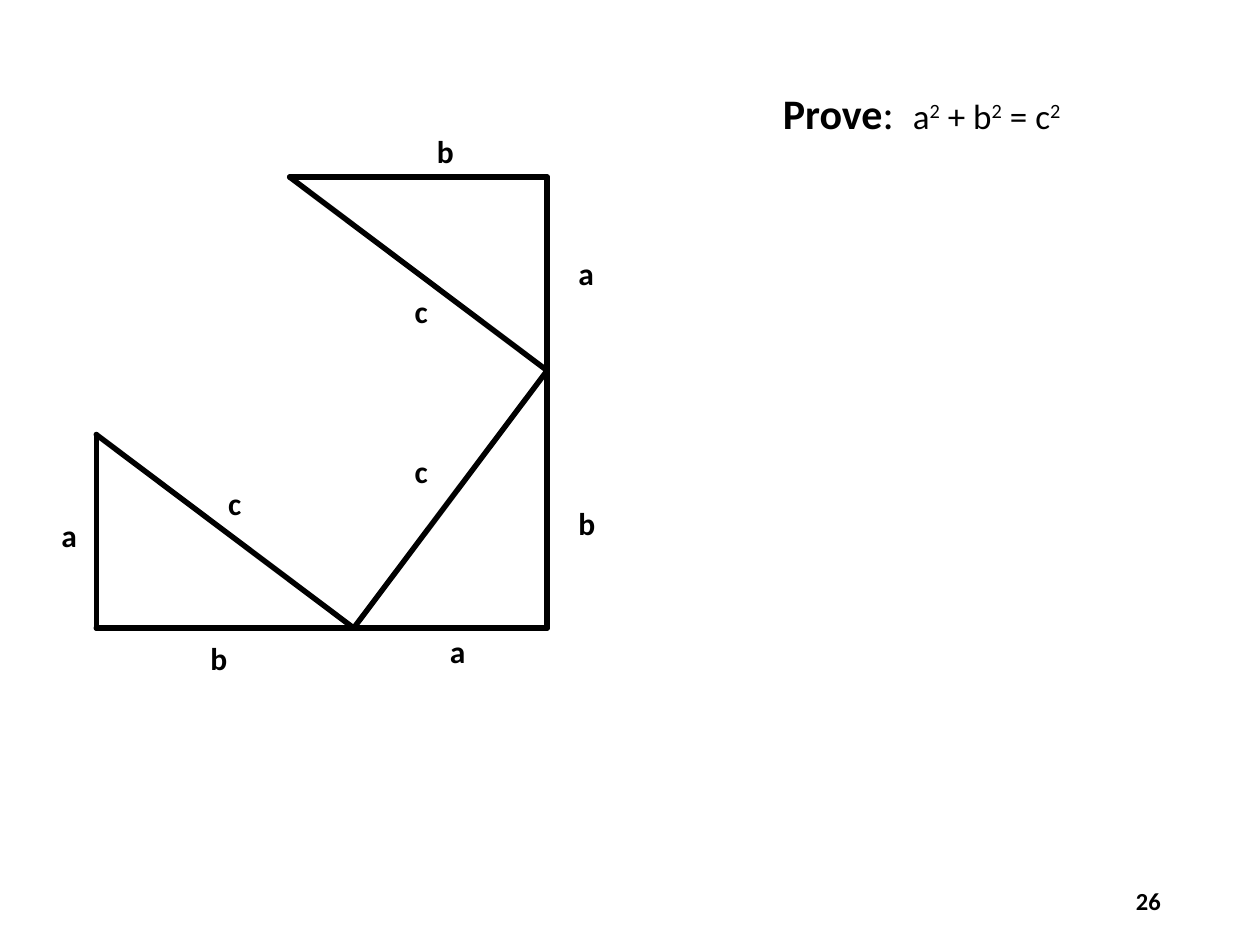
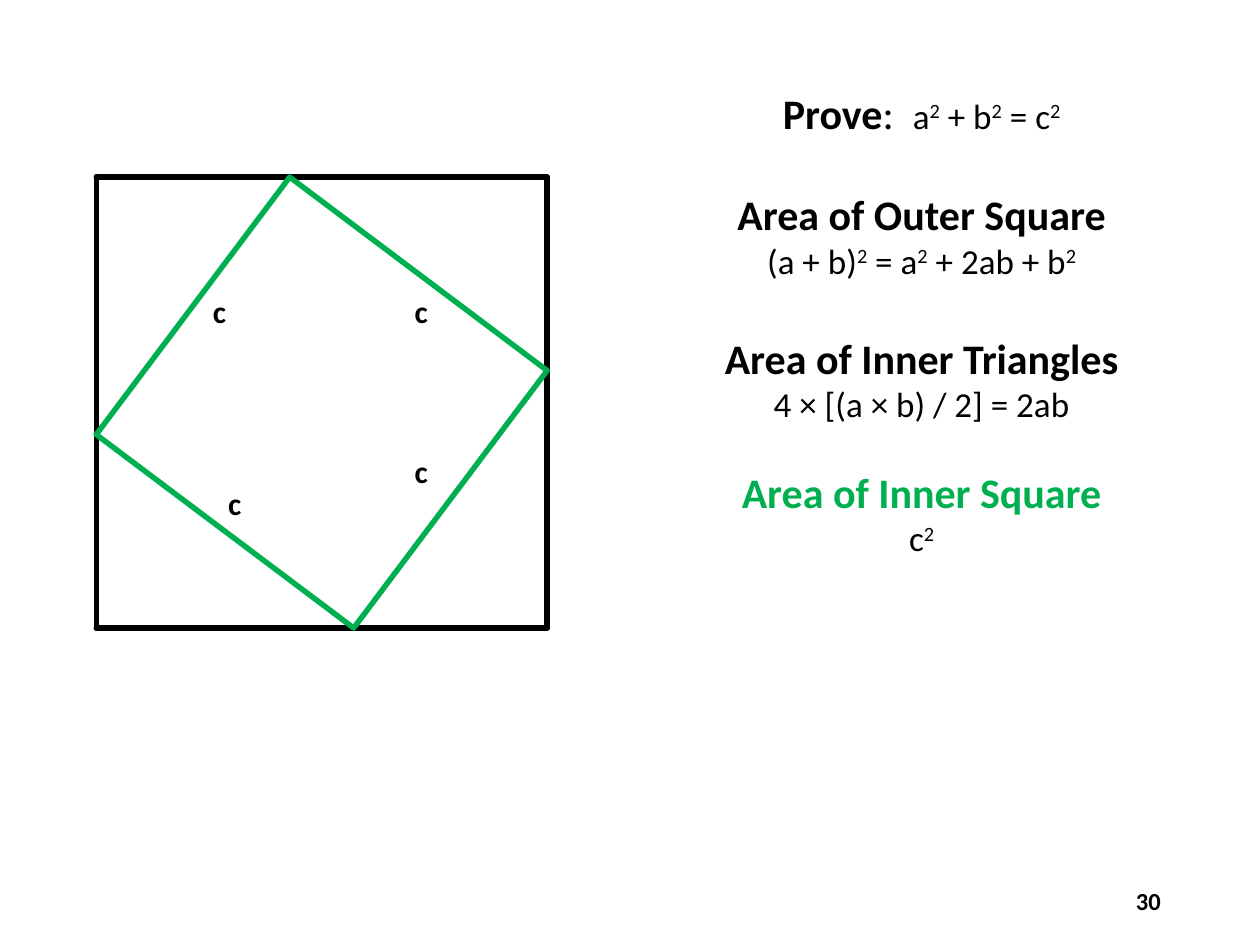
from dataclasses import dataclass

from lxml.etree import SubElement
from pptx import Presentation
from pptx.dml.color import RGBColor as RGB
from pptx.enum.shapes import MSO_CONNECTOR as Connector
from pptx.enum.text import MSO_ANCHOR as Anchor, MSO_AUTO_SIZE as AutoSize, PP_ALIGN as Align
from pptx.oxml.ns import qn
from pptx.util import Cm, Pt


@dataclass(frozen=True)
class Theme:
    font: str = "Calibri"
    ink: RGB = RGB(0x00, 0x00, 0x00)
    accent: RGB = RGB(0x00, 0xB0, 0x50)
    heading: int = 24
    formula: int = 20
    label: int = 18
    number: int = 14
    line: float = 3.13


TITLE_AND_BODY, TITLE_ONLY = 1, 5
COLUMN_LEFT, COLUMN_WIDTH = 12.7, 11.76

LEFT, TOP, A, B = 1.94, 3.57, 3.9, 5.19
RIGHT, BOTTOM = LEFT + A + B, TOP + A + B
ON_TOP, ON_RIGHT = (LEFT + A, TOP), (RIGHT, TOP + A)
ON_BOTTOM, ON_LEFT = (LEFT + B, BOTTOM), (LEFT, TOP + B)

LOWER_RIGHT = ((RIGHT, BOTTOM), ON_BOTTOM, ON_RIGHT)
UPPER_RIGHT = ((RIGHT, TOP), ON_RIGHT, ON_TOP)
UPPER_LEFT = ((LEFT, TOP), ON_TOP, ON_LEFT)
LOWER_LEFT = ((LEFT, BOTTOM), ON_LEFT, ON_BOTTOM)

LEG_LABELS = [
    ("a", 9.07, 12.75), ("a", 11.66, 5.13), ("a", 1.24, 10.41),
    ("b", 11.66, 10.16), ("b", 8.81, 2.67), ("b", 4.24, 12.88),
]
HYPOTENUSE_LABELS = [("c", 8.36, 9.12), ("c", 8.36, 5.89), ("c", 4.6, 9.75)]
UPPER_LEFT_LABEL = ("c", 4.29, 5.89)


class Deck:
    def __init__(self, theme):
        self.theme = theme
        self.prs = Presentation()
        self.prs.slide_width, self.prs.slide_height = Cm(25.4), Cm(19.05)
        self.s = None

    def slide(self, layout):
        self.s = self.prs.slides.add_slide(self.prs.slide_layouts[layout])

    def place(self, sp, left, top, width, height):
        sp.left, sp.top, sp.width, sp.height = map(Cm, (left, top, width, height))
        tf = sp.text_frame
        tf.word_wrap = True
        tf.auto_size = AutoSize.NONE
        tf.vertical_anchor = Anchor.TOP
        return tf

    def style(self, r, size, bold=False, color=None):
        font = r.font
        font.name, font.size, font.bold = self.theme.font, Pt(size), bold
        font.color.rgb = color or self.theme.ink

    def run(self, p, text, size, bold=False, color=None):
        r = p.add_run()
        r.text = text
        self.style(r, size, bold, color)
        return r

    def formula(self, p, text):
        size = self.theme.formula
        first, *powers = text.split("^")
        self.run(p, first, size)
        for power in powers:
            r = self.run(p, power[0], size)
            r.font._element.set("baseline", "30000")
            if power[1:]:
                self.run(p, power[1:], size)

    def title(self, word, formula):
        tf = self.place(self.s.shapes.title, COLUMN_LEFT, 1.63, COLUMN_WIDTH, 2.3)
        p = tf.paragraphs[0]
        p.alignment = Align.CENTER
        self.run(p, word, self.theme.heading, True)
        self.run(p, ":  ", self.theme.heading)
        self.formula(p, formula)

    def areas(self, items):
        tf = self.place(self.s.placeholders[1], COLUMN_LEFT, 3.68, COLUMN_WIDTH, 8.64)
        for i, (heading, formula, gap, color) in enumerate(items):
            p = tf.paragraphs[0] if i == 0 else tf.add_paragraph()
            self.plain(p, gap)
            self.run(p, heading, self.theme.heading, True, color)
            p = tf.add_paragraph()
            self.plain(p, 0)
            self.formula(p, formula)

    def plain(self, p, gap):
        pPr = p._p.get_or_add_pPr()
        pPr.set("marL", "0")
        pPr.set("indent", "0")
        SubElement(pPr, qn("a:buNone"))
        p.alignment = Align.CENTER
        p.space_before = Pt(gap)

    def line(self, start, end, color):
        cxn = self.s.shapes.add_connector(Connector.STRAIGHT, *map(Cm, start + end))
        cxn.line.color.rgb = color
        cxn.line.width = Pt(self.theme.line)
        spPr = cxn._element.spPr
        spPr.find(qn("a:ln")).set("cap", "rnd")
        SubElement(spPr, qn("a:effectLst"))

    def triangles(self, triangles, hypotenuse):
        for corner, p, q in triangles:
            self.line(corner, p, self.theme.ink)
            self.line(corner, q, self.theme.ink)
            self.line(p, q, hypotenuse)

    def textbox(self, text, left, top, width, height, size):
        sp = self.s.shapes.add_textbox(0, 0, 0, 0)
        tf = self.place(sp, left, top, width, height)
        tf.text = text
        self.style(tf.paragraphs[0].runs[0], size, True)
        return tf

    def labels(self, labels):
        for text, left, top in labels:
            tf = self.textbox(text, left, top, 0.7, 0.97, self.theme.label)
            tf.margin_left = tf.margin_right = tf.margin_top = tf.margin_bottom = 0

    def number(self, text):
        tf = self.textbox(text, 17.93, 17.65, 5.72, 1.02, self.theme.number)
        tf.vertical_anchor = Anchor.MIDDLE
        tf.paragraphs[0].alignment = Align.RIGHT


def main():
    theme = Theme()
    deck = Deck(theme)
    claim = ("Prove", "a^2 + b^2 = c^2")

    deck.slide(TITLE_ONLY)
    deck.title(*claim)
    deck.triangles([LOWER_RIGHT, UPPER_RIGHT, LOWER_LEFT], theme.ink)
    deck.labels(LEG_LABELS + HYPOTENUSE_LABELS)
    deck.number("26")

    deck.slide(TITLE_AND_BODY)
    deck.title(*claim)
    deck.areas([
        ("Area of Outer Square", "(a + b)^2 = a^2 + 2ab + b^2", 0, theme.ink),
        ("Area of Inner Triangles", "4 × [(a × b) / 2] = 2ab", 29, theme.ink),
        ("Area of Inner Square", "c^2", 24, theme.accent),
    ])
    deck.triangles([LOWER_RIGHT, UPPER_RIGHT, UPPER_LEFT, LOWER_LEFT], theme.accent)
    deck.labels(HYPOTENUSE_LABELS + [UPPER_LEFT_LABEL])
    deck.number("30")

    deck.prs.save("out.pptx")


if __name__ == "__main__":
    main()
